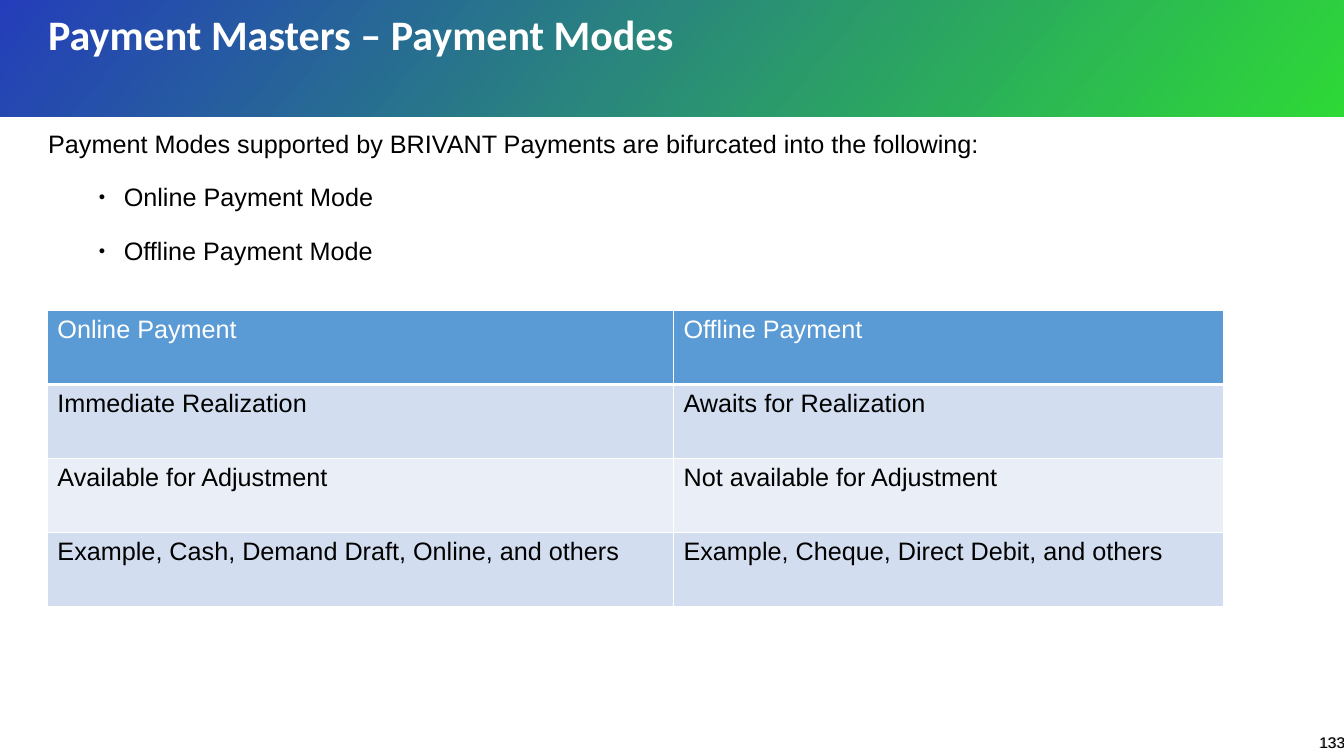
from pptx import Presentation
from pptx.dml.color import RGBColor
from pptx.enum import shapes, text
from pptx.oxml import parse_xml
from pptx.oxml.ns import nsdecls
from pptx.util import Inches, Pt

# Content
TITLE = "Payment Masters – Payment Modes"
INTRO = "Payment Modes supported by BRIVANT Payments are bifurcated into the following:"
MODES = ["Online Payment Mode", "Offline Payment Mode"]
ROWS = [
    ("Online Payment", "Offline Payment"),
    ("Immediate Realization", "Awaits for Realization"),
    ("Available for Adjustment", "Not available for Adjustment"),
    ("Example, Cash, Demand Draft, Online, and others",
     "Example, Cheque, Direct Debit, and others"),
]
PAGE = "133"

# Layout and colours
COLS = (6.21, 5.46)
ROW_H = 0.735
WHITE = RGBColor(0xFF, 0xFF, 0xFF)
BLACK = RGBColor(0, 0, 0)
GREY = RGBColor(0x92, 0x92, 0x92)
BLUE = RGBColor(0x0D, 0x29, 0xB3)
GREEN = RGBColor(0x18, 0xD5, 0x21)
HEAD = RGBColor(0x5B, 0x9B, 0xD5)
BANDS = (RGBColor(0xEA, 0xEF, 0xF7), RGBColor(0xD2, 0xDE, 0xEF))


def add_run(para, words, size, color, font="Arial", bold=False):
    run = para.add_run()
    run.text = words
    run.font.size = Pt(size)
    run.font.name = font
    run.font.bold = bold
    run.font.color.rgb = color


def add_box(slide, left, top, width, height):
    box = slide.shapes.add_textbox(
        Inches(left), Inches(top), Inches(width), Inches(height))
    frame = box.text_frame
    frame.word_wrap = True
    frame.vertical_anchor = text.MSO_ANCHOR.TOP
    return frame


def add_bullet(para):
    props = para._p.get_or_add_pPr()
    props.set("marL", str(Inches(0.75)))
    props.set("indent", str(Inches(-0.25)))
    for xml in ('<a:buSzPct %s val="45000"/>',
                '<a:buFont %s typeface="Arial"/>',
                '<a:buChar %s char="●"/>'):
        props.append(parse_xml(xml % nsdecls("a")))


def add_border(cell, side, width):
    cell._tc.get_or_add_tcPr().append(parse_xml(
        f'<a:{side} {nsdecls("a")} w="{Pt(width)}"><a:solidFill>'
        f'<a:srgbClr val="{WHITE}"/></a:solidFill></a:{side}>'))


def main():
    prs = Presentation()
    prs.slide_width, prs.slide_height = Inches(13.33), Inches(7.5)
    slide = prs.slides.add_slide(prs.slide_layouts[6])

    # Title band
    band = slide.shapes.add_shape(
        shapes.MSO_SHAPE.RECTANGLE, 0, 0, prs.slide_width, Inches(1.16))
    band.shadow.inherit = False
    band.line.fill.background()
    band.fill.gradient()
    band.fill.gradient_angle = 320
    for stop, color, pos in zip(band.fill.gradient_stops, (BLUE, GREEN), (0, 1)):
        stop.color.rgb = color
        stop.position = pos
    for tone in band._element.spPr.iter("{*}srgbClr"):
        tone.append(parse_xml(f'<a:alpha {nsdecls("a")} val="89000"/>'))

    # Page number with its soft shade
    for left, color in ((12.98, GREY), (12.99, BLACK)):
        frame = add_box(slide, left, 7.22, 0.48, 0.4)
        add_run(frame.paragraphs[0], PAGE, 11, color)

    # Title
    para = add_box(slide, 0.38, 0.09, 10.19, 0.85).paragraphs[0]
    para.line_spacing = 0.9
    add_run(para, TITLE, 30, WHITE, "Calibri", True)

    # Intro and list of modes
    frame = add_box(slide, 0.38, 1.07, 11.76, 1.63)
    for i, words in enumerate([INTRO] + MODES):
        para = frame.paragraphs[0] if i == 0 else frame.add_paragraph()
        para.alignment = text.PP_ALIGN.JUSTIFY
        para.line_spacing = 1.5
        if i:
            para.level = 1
            para.space_before = Pt(6)
            add_bullet(para)
        add_run(para, words, 18, BLACK)

    # Comparison table
    table = slide.shapes.add_table(
        len(ROWS), len(COLS), Inches(0.47), Inches(3.08),
        Inches(sum(COLS)), Inches(ROW_H * len(ROWS))).table
    for col, width in zip(table.columns, COLS):
        col.width = Inches(width)
    for r, row in enumerate(ROWS):
        for c, words in enumerate(row):
            cell = table.cell(r, c)
            for side in ("lnL", "lnR", "lnT", "lnB"):
                add_border(cell, side, 3 if r == 0 and side == "lnB" else 1)
            cell.fill.solid()
            cell.fill.fore_color.rgb = BANDS[r % 2] if r else HEAD
            add_run(cell.text_frame.paragraphs[0], words, 18,
                    BLACK if r else WHITE)

    prs.save("out.pptx")


if __name__ == "__main__":
    main()
